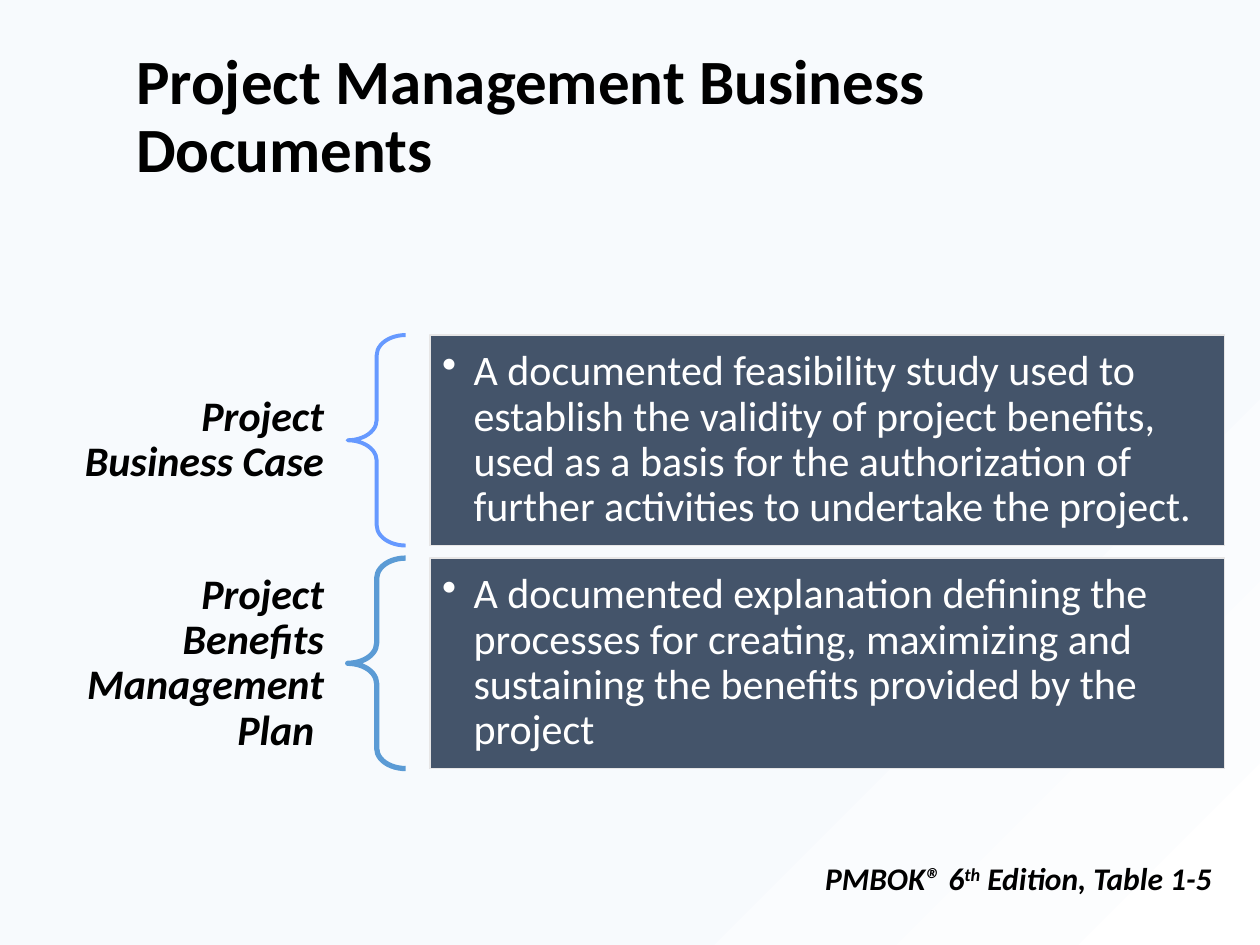
from lxml import etree
from pptx import Presentation
from pptx.dml.color import RGBColor
from pptx.enum.shapes import MSO_SHAPE
from pptx.enum.text import MSO_ANCHOR, MSO_AUTO_SIZE, PP_ALIGN
from pptx.oxml.ns import qn
from pptx.util import Inches, Pt

BRACE, RECT = MSO_SHAPE.LEFT_BRACE, MSO_SHAPE.RECTANGLE
MIDDLE = MSO_ANCHOR.MIDDLE
LEFT, RIGHT = PP_ALIGN.LEFT, PP_ALIGN.RIGHT
COLORS = {
    "text": "000000", "white": "FFFFFF", "pale": "F7FAFD",
    "panel": "44546A", "edge": "E7E6E6",
    "case": "6699FF", "plan": "5B9BD5",
}


def color(name):
    return RGBColor.from_string(COLORS[name])


def style(para, size, name="text", bold=False, italic=False):
    font = para.font
    font.name, font.size = "Calibri", Pt(size)
    font.bold, font.italic = bold, italic
    font.color.rgb = color(name)


prs = Presentation()
prs.slide_width, prs.slide_height = Inches(10), Inches(7.5)
slide = prs.slides.add_slide(prs.slide_layouts[5])
shapes = slide.shapes

# Background: pale, fading to white at the bottom right
back = slide.background.fill
back.gradient()
back.gradient_angle = 315
for stop, (pos, name) in zip(back.gradient_stops, [(0.67, "pale"), (1, "white")]):
    stop.position = pos
    stop.color.rgb = color(name)

# Title
title = shapes.title
title.left, title.top = Inches(0.98), Inches(0.21)
title.width, title.height = Inches(8.62), Inches(1.45)
frame = title.text_frame
frame.text = "Project Management Business Documents"
frame.vertical_anchor = MIDDLE
frame.auto_size = MSO_AUTO_SIZE.NONE
para = frame.paragraphs[0]
para.alignment, para.line_spacing = LEFT, 0.9
style(para, 36, bold=True)

# Rows: label, brace and panel, all centred on the same line
TOP, HIGH, STEP = 2.66, 1.67, 1.77
rows = [
    ("Project Business Case", 0.88, "case", 2.25,
     "A documented feasibility study used to establish the validity of project "
     "benefits, used as a basis for the authorization of further activities to "
     "undertake the project."),
    ("Project Benefits Management Plan ", 1.62, "plan", 3,
     "A documented explanation defining the processes for creating, maximizing "
     "and sustaining the benefits provided by the project"),
]
for i, (term, tall, hue, weight, note) in enumerate(rows):
    top = TOP + i * STEP

    label = shapes.add_textbox(Inches(0.44), Inches(top + (HIGH - tall) / 2),
                               Inches(2.32), Inches(tall))
    frame = label.text_frame
    frame.word_wrap, frame.vertical_anchor = True, MIDDLE
    frame.margin_left = frame.margin_right = Inches(0.19)
    frame.margin_top = frame.margin_bottom = Inches(0.07)
    frame.text = term
    para = frame.paragraphs[0]
    para.alignment, para.line_spacing = RIGHT, 0.9
    style(para, 24, bold=True, italic=True)

    brace = shapes.add_shape(BRACE, Inches(2.76), Inches(top), Inches(0.46), Inches(HIGH))
    brace.adjustments[0], brace.adjustments[1] = 0.35, 0.5
    brace.shadow.inherit = False
    brace.fill.background()
    brace.line.color.rgb = color(hue)
    brace.line.width = Pt(weight)

    panel = shapes.add_shape(RECT, Inches(3.41), Inches(top), Inches(6.31), Inches(HIGH))
    panel.shadow.inherit = False
    panel.fill.solid()
    panel.fill.fore_color.rgb = color("panel")
    panel.line.color.rgb = color("edge")
    panel.line.width = Pt(1)
    frame = panel.text_frame
    frame.word_wrap, frame.vertical_anchor = True, MIDDLE
    frame.margin_left = frame.margin_right = Inches(0.1)
    frame.margin_top = frame.margin_bottom = Inches(0.1)
    frame.text = note
    para = frame.paragraphs[0]
    props = para._p.get_or_add_pPr()
    props.set("marL", str(Inches(0.25)))
    props.set("indent", str(Inches(-0.25)))
    etree.SubElement(props, qn("a:buChar")).set("char", "•")
    para.alignment, para.line_spacing = LEFT, 0.9
    style(para, 24, "white")

# Source line
source = shapes.add_textbox(Inches(6.45), Inches(6.77), Inches(3.31), Inches(0.4))
frame = source.text_frame
frame.word_wrap = True
frame.auto_size = MSO_AUTO_SIZE.SHAPE_TO_FIT_TEXT
para = frame.paragraphs[0]
for text, base in [("PMBOK® 6", 0), ("th", 30000), (" Edition, Table 1-5", 0)]:
    run = para.add_run()
    run.text = text
    if base:
        run._r.get_or_add_rPr().set("baseline", str(base))
style(para, 18, bold=True, italic=True)

prs.save("out.pptx")
